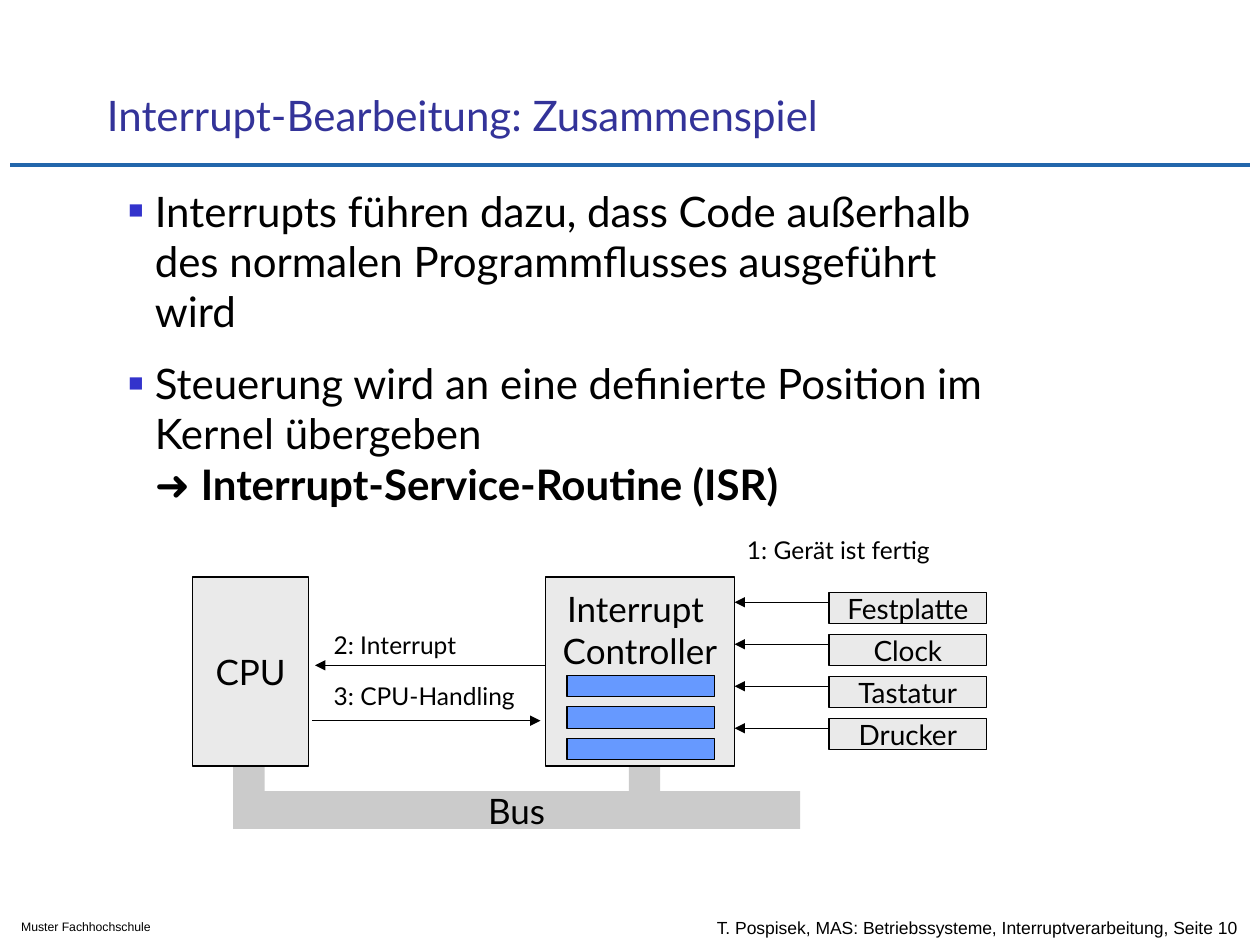
import pptx
import pptx.util
import pptx.dml.color
import pptx.enum.shapes
import pptx.enum.text
import pptx.oxml.ns
from dataclasses import dataclass
from lxml import etree
from typing import Optional

Inches = pptx.util.Inches
Pt = pptx.util.Pt
RGBColor = pptx.dml.color.RGBColor
Align = pptx.enum.text.PP_ALIGN
Anchor = pptx.enum.text.MSO_ANCHOR
qn = pptx.oxml.ns.qn

BLACK = RGBColor(0x00, 0x00, 0x00)
NAVY = RGBColor(0x33, 0x33, 0x99)
RULE = RGBColor(0x22, 0x66, 0xAB)
PALE = RGBColor(0xEA, 0xEA, 0xEA)
GREY = RGBColor(0xCB, 0xCB, 0xCB)
BLUE = RGBColor(0x66, 0x99, 0xFF)
MARK = RGBColor(0x33, 0x33, 0xCC)


@dataclass
class Box:
    x: float
    y: float
    w: float
    h: float
    fill: RGBColor = PALE
    edge: bool = True
    lines: tuple[str, ...] = ()
    size: float = 20
    top: Optional[float] = None  # top inset of text that is not centred


@dataclass
class Label:
    x: float
    y: float
    w: float
    h: float
    text: str
    size: float = 14
    font: str = "Lato"
    color: RGBColor = BLACK
    anchor: Anchor = Anchor.TOP


@dataclass
class Line:
    x: float
    y: float
    end: float
    color: RGBColor = BLACK
    width: float = 0.75
    arrow: bool = True


def add_run(par, text: str, size: float, font: str = "Lato",
            color: RGBColor = BLACK, bold: bool = False) -> None:
    run = par.add_run()
    run.text = text
    run.font.size = Pt(size)
    run.font.name = font
    run.font.bold = bold
    run.font.color.rgb = color


def draw_box(slide, box: Box) -> None:
    shape = slide.shapes.add_shape(
        pptx.enum.shapes.MSO_SHAPE.RECTANGLE,
        Inches(box.x), Inches(box.y), Inches(box.w), Inches(box.h))
    shape.shadow.inherit = False
    shape.fill.solid()
    shape.fill.fore_color.rgb = box.fill
    if box.edge:
        shape.line.color.rgb = BLACK
        shape.line.width = Pt(0.75)
    else:
        shape.line.fill.background()
    frame = shape.text_frame
    frame.word_wrap = False
    frame.vertical_anchor = Anchor.MIDDLE
    if box.top is not None:
        frame.vertical_anchor = Anchor.TOP
        frame.margin_top = Inches(box.top)
    for i, text in enumerate(box.lines):
        par = frame.add_paragraph() if i else frame.paragraphs[0]
        par.alignment = Align.CENTER
        add_run(par, text, box.size)


def add_frame(slide, x: float, y: float, w: float, h: float):
    frame = slide.shapes.add_textbox(
        Inches(x), Inches(y), Inches(w), Inches(h)).text_frame
    frame.word_wrap = True
    return frame


def draw_label(slide, label: Label) -> None:
    frame = add_frame(slide, label.x, label.y, label.w, label.h)
    frame.vertical_anchor = label.anchor
    add_run(frame.paragraphs[0], label.text, label.size, label.font, label.color)


def draw_line(slide, line: Line) -> None:
    link = slide.shapes.add_connector(
        pptx.enum.shapes.MSO_CONNECTOR.STRAIGHT,
        Inches(line.x), Inches(line.y), Inches(line.end), Inches(line.y))
    link.line.color.rgb = line.color
    link.line.width = Pt(line.width)
    if line.arrow:
        etree.SubElement(link.line._get_or_add_ln(), qn("a:tailEnd"), type="triangle")
    etree.SubElement(link._element.spPr, qn("a:effectLst"))


def set_bullet(par) -> None:
    par.space_before = Pt(12)
    props = par._p.get_or_add_pPr()
    props.set("marL", str(Inches(0.21)))
    props.set("indent", str(-Inches(0.21)))
    color = etree.SubElement(props, qn("a:buClr"))
    etree.SubElement(color, qn("a:srgbClr"), val=str(MARK))
    etree.SubElement(props, qn("a:buSzPct"), val="60000")
    etree.SubElement(props, qn("a:buFont"), typeface="Arial")
    etree.SubElement(props, qn("a:buChar"), char="■")


def draw_body(slide) -> None:
    frame = add_frame(slide, 0.92, 1.42, 7.25, 2.67)
    first = frame.paragraphs[0]
    set_bullet(first)
    add_run(first, "Interrupts führen dazu, dass Code außerhalb "
                   "des normalen Programmflusses ausgeführt wird", 24)
    second = frame.add_paragraph()
    set_bullet(second)
    add_run(second, "Steuerung wird an eine definierte Position im Kernel übergeben", 24)
    second.add_line_break()
    add_run(second, "➜ ", 24)
    add_run(second, "Interrupt-Service-Routine (ISR)", 24, bold=True)


def main() -> None:
    deck = pptx.Presentation()
    deck.slide_width = Inches(10)
    deck.slide_height = Inches(7.5)
    slide = deck.slides.add_slide(deck.slide_layouts[6])

    # Header, footer and body text
    draw_line(slide, Line(0.08, 1.31, 9.92, RULE, 2.5, False))
    for label in (
        Label(5.59, 7.2, 5.29, 0.33,
              "T. Pospisek, MAS: Betriebssysteme, Interruptverarbeitung, Seite 10",
              10, "Arial", anchor=Anchor.MIDDLE),
        Label(0.07, 7.25, 1.72, 0.22, "Muster Fachhochschule", 7, "Arial"),
        Label(0.75, 0.33, 8.52, 0.83, "Interrupt-Bearbeitung: Zusammenspiel",
              24, color=NAVY, anchor=Anchor.BOTTOM),
    ):
        draw_label(slide, label)
    draw_body(slide)

    # Bus with its two risers
    draw_box(slide, Box(1.85, 6.28, 4.5, 0.3, GREY, False, ("Bus",)))
    for x in (1.85, 4.99):
        draw_box(slide, Box(x, 6.08, 0.25, 0.25, GREY, False))

    # CPU and controller with its registers
    draw_box(slide, Box(1.53, 4.58, 0.92, 1.5, lines=("CPU",)))
    draw_box(slide, Box(4.33, 4.58, 1.5, 1.5,
                        lines=("Interrupt ", "Controller"), top=0.08))
    for i in range(3):
        draw_box(slide, Box(4.5, 5.36 + i * 0.25, 1.17, 0.17, BLUE))

    # Devices, each with an arrow to the controller
    for i, name in enumerate(("Festplatte", "Clock", "Tastatur", "Drucker")):
        y = 4.7 + i / 3
        draw_box(slide, Box(6.58, y, 1.25, 0.25, lines=(name,), size=16))
        draw_line(slide, Line(6.58, y + 0.08, 5.83))

    # Signals between controller and CPU, and the step labels
    draw_line(slide, Line(4.33, 5.28, 2.5))
    draw_line(slide, Line(2.48, 5.72, 4.29))
    for label in (
        Label(5.83, 4.2, 1.96, 0.33, "1: Gerät ist fertig"),
        Label(2.55, 4.95, 1.67, 0.33, "2: Interrupt"),
        Label(2.55, 5.36, 1.82, 0.33, "3: CPU-Handling"),
    ):
        draw_label(slide, label)

    deck.save("out.pptx")


if __name__ == "__main__":
    main()
